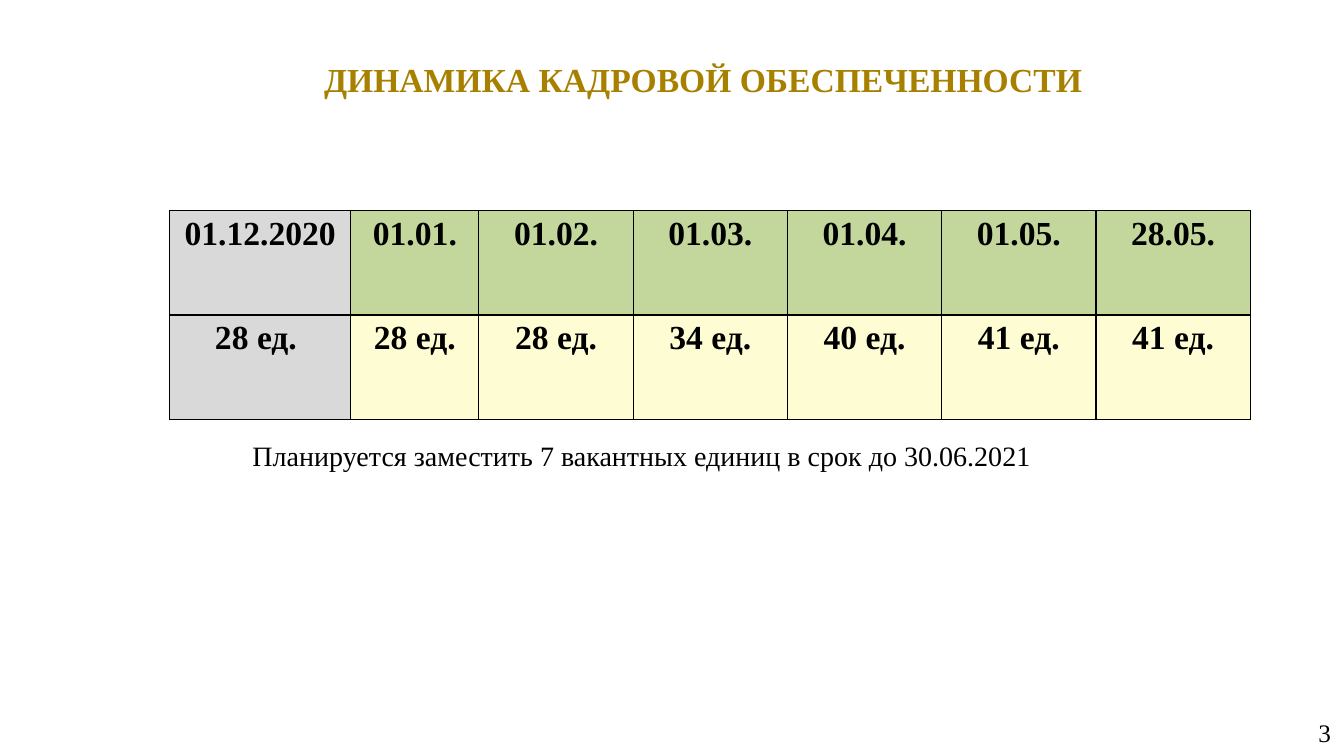
from lxml.etree import SubElement
from pptx import Presentation
from pptx.dml.color import RGBColor
from pptx.enum.text import MSO_ANCHOR, PP_ALIGN
from pptx.oxml.ns import qn
from pptx.util import Inches, Pt

GOLD = RGBColor(0xA8, 0x80, 0x00)
BLACK = RGBColor(0x00, 0x00, 0x00)
GRAY = RGBColor(0xD9, 0xD9, 0xD9)
GREEN = RGBColor(0xC3, 0xD6, 0x9B)
CREAM = RGBColor(0xFD, 0xFC, 0xD3)

DATES = ["01.12.2020", "01.01.", "01.02.", "01.03.", "01.04.", "01.05.", "28.05."]
UNITS = ["28 ед. ", "28 ед.", "28 ед.", "34 ед.", "40 ед.", "41 ед.", "41 ед."]
WIDTHS = [1.8, 1.27] + [1.53] * 5


def style(para, size, color=BLACK, bold=False, align=PP_ALIGN.CENTER):
    para.alignment = align
    font = para.font
    font.name = "Times New Roman"
    font.size = Pt(size)
    font.bold = bold
    font.color.rgb = color


def add_text(slide, box, text, size, anchor=MSO_ANCHOR.MIDDLE, **look):
    frame = slide.shapes.add_textbox(*map(Inches, box)).text_frame
    frame.word_wrap = True
    frame.vertical_anchor = anchor
    frame.margin_left = frame.margin_right = Inches(0.13)
    frame.margin_top = frame.margin_bottom = Inches(0.07)
    frame.text = text
    style(frame.paragraphs[0], size, **look)


def add_border(cell):
    props = cell._tc.get_or_add_tcPr()
    for side in ("lnL", "lnR", "lnT", "lnB"):
        line = SubElement(props, qn(f"a:{side}"), w=str(Pt(0.96)))
        fill = SubElement(line, qn("a:solidFill"))
        SubElement(fill, qn("a:srgbClr"), val=str(BLACK))


def add_staff(slide, box):
    rows = [(DATES, GREEN), (UNITS, CREAM)]
    table = slide.shapes.add_table(len(rows), len(DATES), *map(Inches, box)).table
    for col, width in zip(table.columns, WIDTHS):
        col.width = Inches(width)
    for r, (texts, color) in enumerate(rows):
        for c, text in enumerate(texts):
            cell = table.cell(r, c)
            add_border(cell)
            cell.fill.solid()
            cell.fill.fore_color.rgb = color if c else GRAY
            cell.text = text
            style(cell.text_frame.paragraphs[0], 24, bold=True)


def main():
    deck = Presentation()
    deck.slide_width, deck.slide_height = Inches(13.33), Inches(7.5)
    slide = deck.slides.add_slide(deck.slide_layouts[6])
    add_text(slide, (1.65, 0.51, 10.65, 0.53), "ДИНАМИКА КАДРОВОЙ ОБЕСПЕЧЕННОСТИ", 24,
             anchor=MSO_ANCHOR.TOP, color=GOLD, bold=True)
    add_staff(slide, (1.68, 2.09, 10.72, 2.07))
    add_text(slide, (0.63, 4.14, 11.47, 0.76),
             "Планируется заместить 7 вакантных единиц в срок до 30.06.2021", 20)
    add_text(slide, (10.22, 7.07, 3.11, 0.4), "3", 18, align=PP_ALIGN.RIGHT)
    deck.save("out.pptx")


if __name__ == "__main__":
    main()
